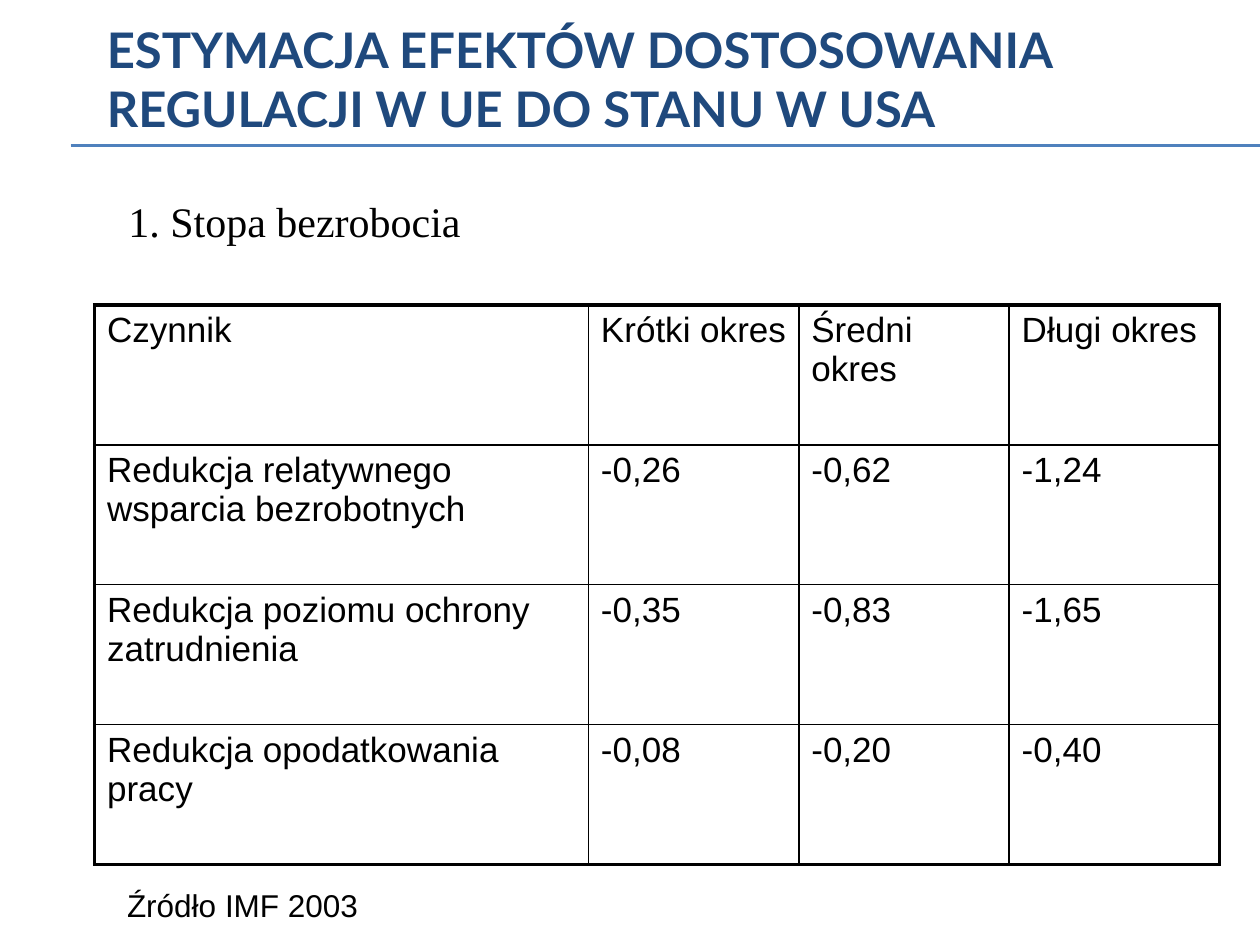
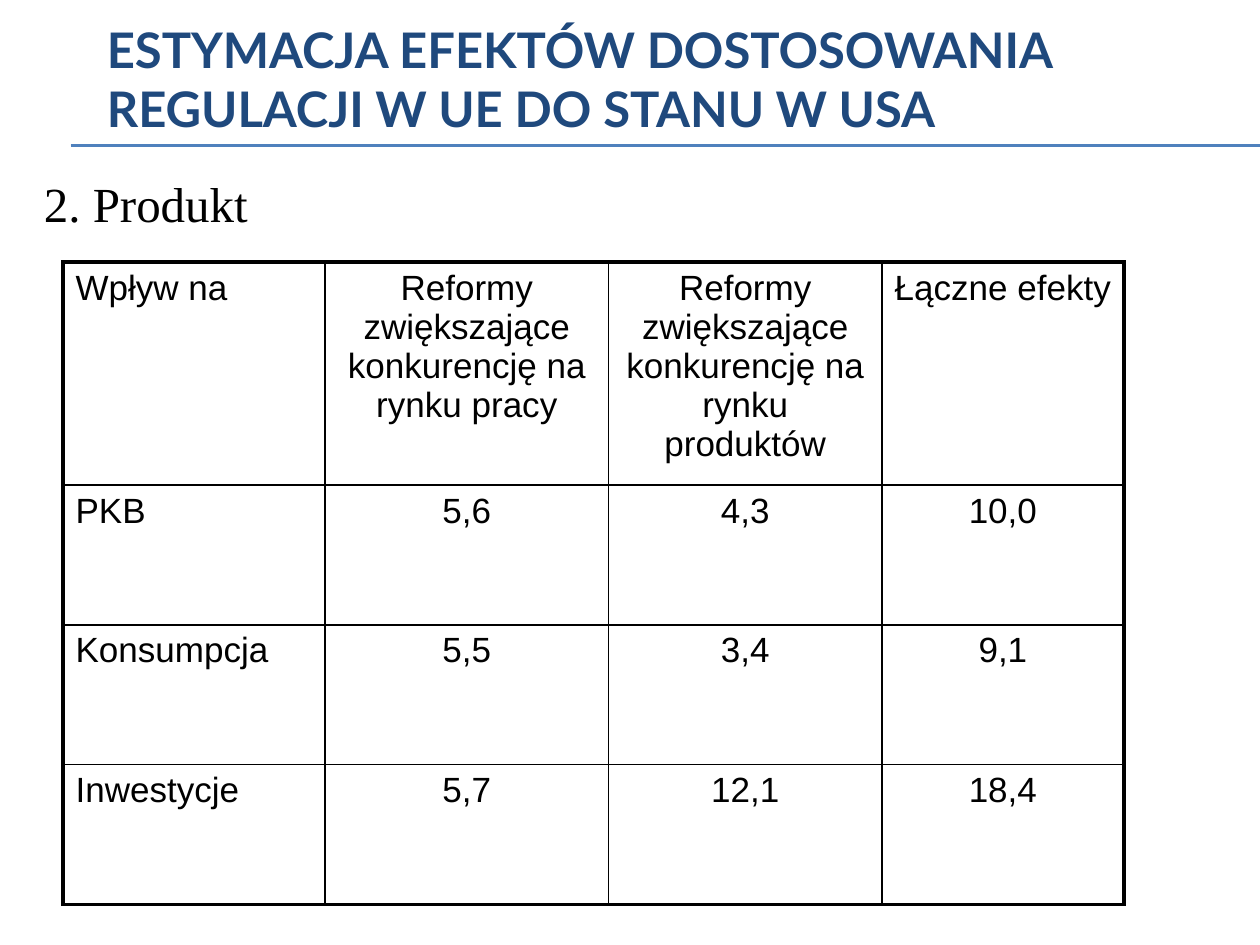
from lxml import etree
from pptx import Presentation
from pptx.dml.color import RGBColor
from pptx.enum.shapes import MSO_CONNECTOR
from pptx.enum.text import MSO_ANCHOR, PP_ALIGN
from pptx.oxml.ns import qn
from pptx.util import Inches, Pt

TITLE = "ESTYMACJA EFEKTÓW DOSTOSOWANIA REGULACJI W UE DO STANU W USA"
BLACK, NAVY, BLUE = "000000", "1F497D", "4F81BD"
RULE_LEFT, RULE_RIGHT, RULE_HEIGHTS = 0.56, 10, (1.15, 1.16)
OUTER, INNER = 2.25, 1
ROW = 1.11

# Each caption: text, (left, top, width, height), font, size
SLIDES = [
    {
        "captions": [
            ("1. Stopa bezrobocia", (0.92, 1.5, 3.08, 0.5), "Times New Roman", 24),
            ("Źródło IMF 2003", (0.91, 6.98, 4.02, 0.4), "Arial", 18),
        ],
        "origin": (0.75, 2.42),
        "columns": [3.92, 1.67, 1.67, 1.67],
        "row_heights": [ROW] * 4,
        "value_align": PP_ALIGN.LEFT,
        "rows": [
            ("Czynnik", "Krótki okres", "Średni okres", "Długi okres"),
            ("Redukcja relatywnego wsparcia bezrobotnych", "-0,26", "-0,62", "-1,24"),
            ("Redukcja poziomu ochrony zatrudnienia", "-0,35", "-0,83", "-1,65"),
            ("Redukcja opodatkowania pracy", "-0,08", "-0,20", "-0,40"),
        ],
    },
    {
        "captions": [
            ("2. Produkt", (0.25, 1.33, 3.17, 0.57), "Times New Roman", 28),
        ],
        "origin": (0.5, 2.08),
        "columns": [2.08, 2.25, 2.17, 1.92],
        "row_heights": [1.77] + [ROW] * 3,
        "value_align": PP_ALIGN.CENTER,
        "rows": [
            ("Wpływ na", "Reformy zwiększające konkurencję na rynku pracy",
             "Reformy zwiększające konkurencję na rynku produktów", "Łączne efekty"),
            ("PKB", "5,6", "4,3", "10,0"),
            ("Konsumpcja", "5,5", "3,4", "9,1"),
            ("Inwestycje", "5,7", "12,1", "18,4"),
        ],
    },
]


def rgb(color):
    return RGBColor.from_string(color)


def write(frame, text, font, size, color=BLACK, bold=False):
    frame.word_wrap = True
    paragraph = frame.paragraphs[0]
    paragraph.text = text
    paragraph.font.name = font
    paragraph.font.size = Pt(size)
    paragraph.font.bold = bold
    paragraph.font.color.rgb = rgb(color)
    return paragraph


def add_text(slide, text, box, *style):
    frame = slide.shapes.add_textbox(*map(Inches, box)).text_frame
    write(frame, text, *style)
    return frame


def add_heading(slide):
    """Add the title and the double rule below it."""
    for y in RULE_HEIGHTS:
        rule = slide.shapes.add_connector(
            MSO_CONNECTOR.STRAIGHT,
            Inches(RULE_LEFT), Inches(y), Inches(RULE_RIGHT), Inches(y))
        rule.line.color.rgb = rgb(BLUE)
        rule.line.width = Pt(0.75)
        etree.SubElement(rule._element.spPr, qn("a:effectLst"))
    title = add_text(slide, TITLE, (0.75, 0, 8.5, 1.25), "Lato", 28, NAVY, True)
    title.vertical_anchor = MSO_ANCHOR.MIDDLE


def set_borders(cell, on_edge):
    """Draw the four sides, heavier where the side is on the table's edge."""
    properties = cell._tc.get_or_add_tcPr()
    for position, (side, outer) in enumerate(on_edge.items()):
        line = etree.Element(qn(f"a:ln{side}"), w=str(Pt(OUTER if outer else INNER)))
        fill = etree.SubElement(line, qn("a:solidFill"))
        etree.SubElement(fill, qn("a:srgbClr"), val=BLACK)
        properties.insert(position, line)


def add_effects_table(slide, content):
    rows, columns, heights = content["rows"], content["columns"], content["row_heights"]
    left, top = content["origin"]
    table = slide.shapes.add_table(
        len(rows), len(columns), Inches(left), Inches(top),
        Inches(sum(columns)), Inches(sum(heights))).table
    table.first_row = table.horz_banding = False
    for column, width in zip(table.columns, columns):
        column.width = Inches(width)
    for row, height in zip(table.rows, heights):
        row.height = Inches(height)
    for r, texts in enumerate(rows):
        for c, text in enumerate(texts):
            cell = table.cell(r, c)
            cell.fill.background()
            paragraph = write(cell.text_frame, text, "Arial", 20)
            paragraph.space_before = Pt(7)
            paragraph.alignment = content["value_align"] if c else PP_ALIGN.LEFT
            set_borders(cell, {
                "L": c == 0, "R": c == len(columns) - 1,
                "T": r == 0, "B": r == len(rows) - 1})


def main():
    deck = Presentation()
    deck.slide_width, deck.slide_height = Inches(10), Inches(7.5)
    for content in SLIDES:
        slide = deck.slides.add_slide(deck.slide_layouts[6])
        add_heading(slide)
        for caption in content["captions"]:
            add_text(slide, *caption)
        add_effects_table(slide, content)
    deck.save("out.pptx")


if __name__ == "__main__":
    main()
